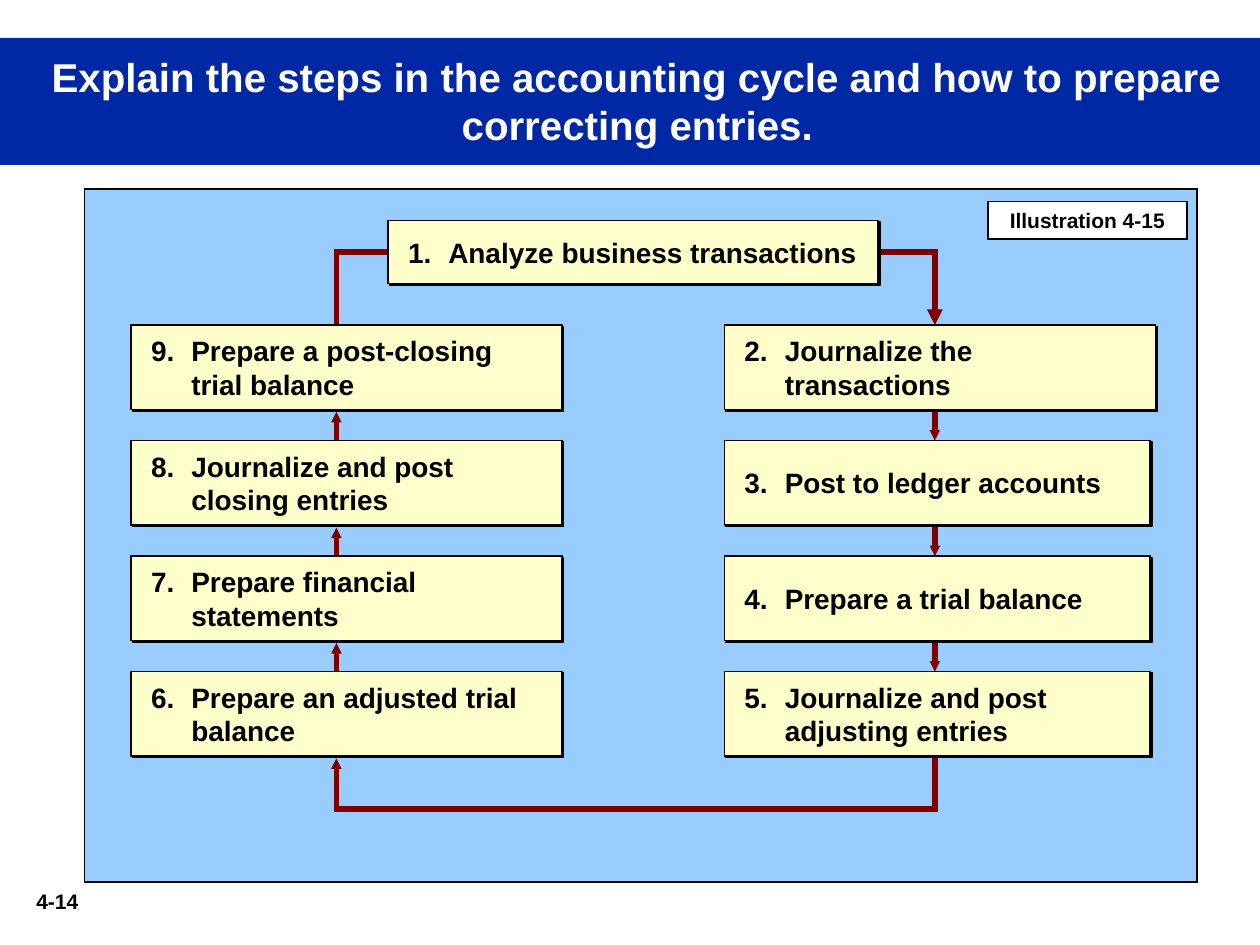
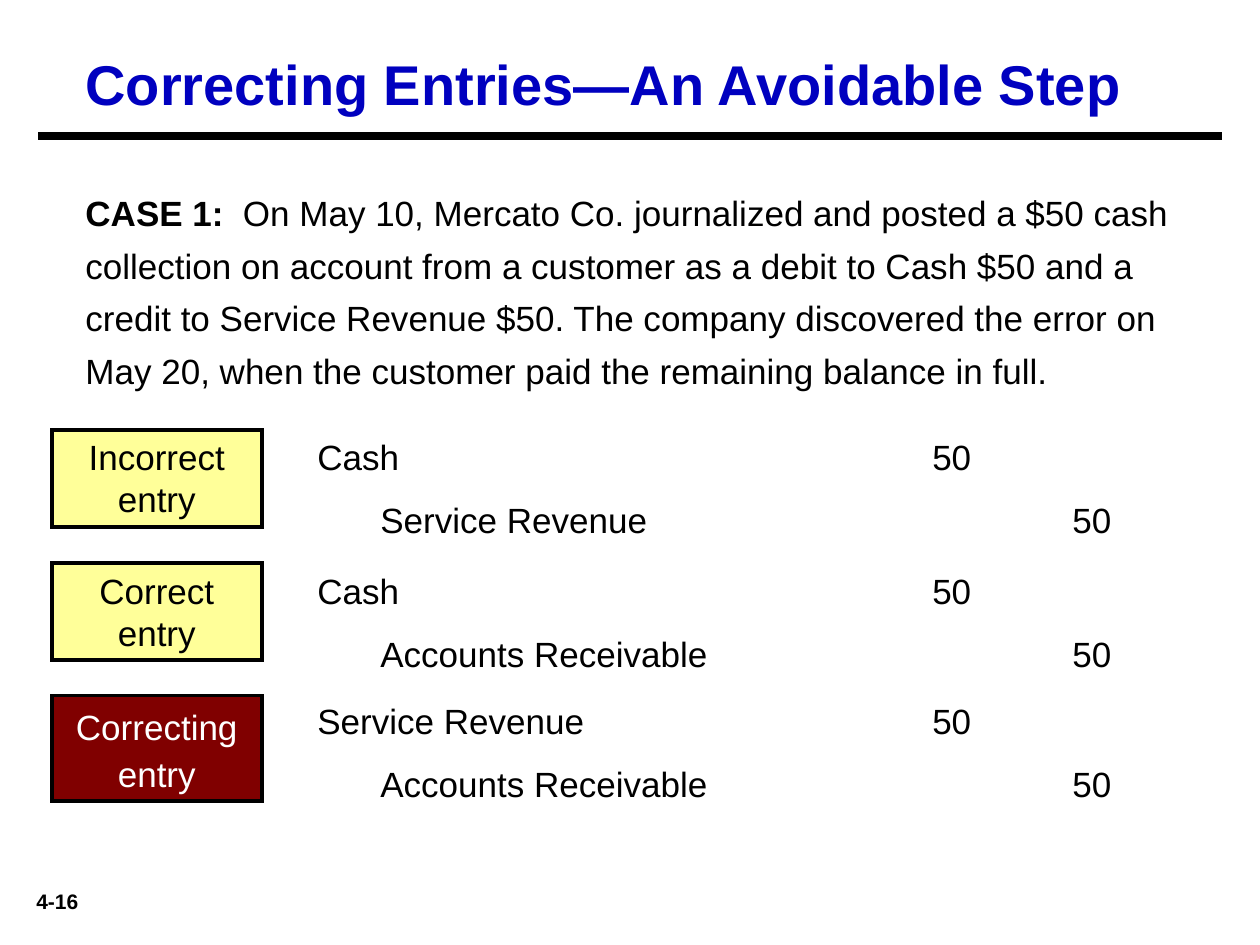
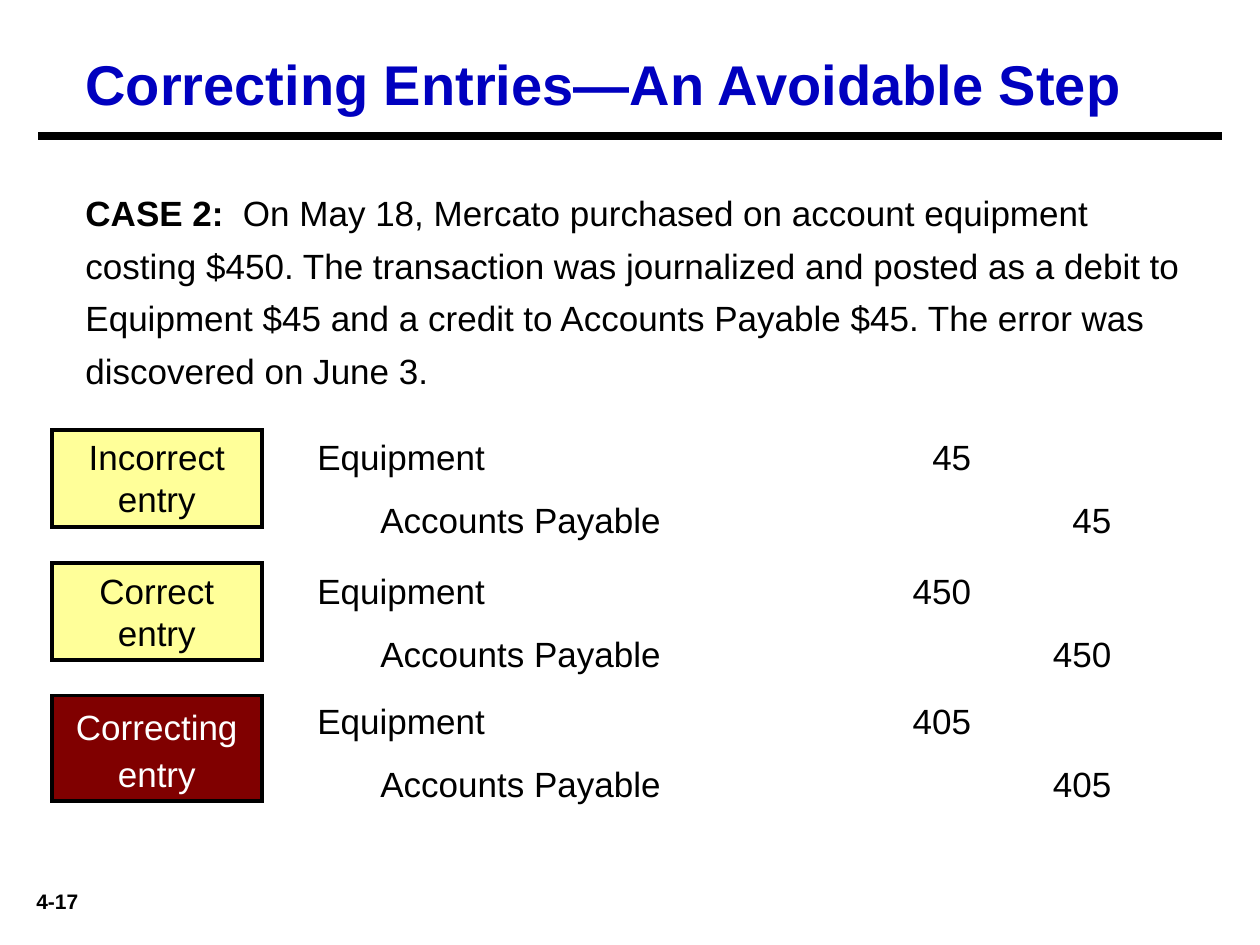
from dataclasses import dataclass

from pptx import Presentation
from pptx.dml.color import RGBColor
from pptx.dml.line import LineFormat
from pptx.enum.shapes import MSO_CONNECTOR, MSO_SHAPE
from pptx.enum.text import MSO_ANCHOR, PP_ALIGN
from pptx.oxml.ns import qn
from pptx.shapes.autoshape import Shape
from pptx.slide import Slide
from pptx.util import Inches, Pt
from lxml.etree import SubElement

FONT = "Arial"
BLACK, WHITE = "000000", "FFFFFF"
BAND_BLUE, TITLE_BLUE, PANEL_BLUE = "0027A4", "0000BF", "99CCFF"
STEP_CREAM, LABEL_YELLOW, MAROON = "FFFFCC", "FFFF99", "800000"

LEFT_X, RIGHT_X = 2.67, 7.42
FIRST_ROW, ROW_PITCH, STEP_HEIGHT = 2.58, 11 / 12, 0.67
ENTRY_TABS = (5.19, 6.68)


@dataclass(frozen=True)
class Area:
    """A rectangle in inches."""

    left: float
    top: float
    width: float
    height: float


@dataclass(frozen=True)
class Step:
    """One step of the accounting cycle."""

    number: int
    text: str
    area: Area


@dataclass(frozen=True)
class Link:
    """A straight line of the cycle, with an optional arrowhead size."""

    x1: float
    y1: float
    x2: float
    y2: float
    head: str = ""


@dataclass(frozen=True)
class Label:
    """The caption of a journal entry and the top of its first line."""

    text: str
    area: Area
    entry_top: float
    fill: str = LABEL_YELLOW
    color: str = BLACK
    spacing: float = 1.0


@dataclass(frozen=True)
class Entry:
    """A journal entry with one debit and one credit."""

    debit: str
    credit: str
    amount: str


@dataclass(frozen=True)
class Case:
    """A correction case with its incorrect, correct and correcting entries."""

    page: str
    name: str
    story: str
    entries: tuple[Entry, ...]


LABELS = (
    Label("Incorrect entry", Area(0.41, 3.41, 1.67, 0.77), 3.41),
    Label("Correct entry", Area(0.41, 4.47, 1.67, 0.77), 4.47),
    Label("Correcting entry", Area(0.41, 5.52, 1.67, 0.84), 5.5, MAROON, WHITE, 1.1),
)

CASES = (
    Case(
        "4-16",
        "CASE 1:",
        "On May 10, Mercato Co. journalized and posted a $50 cash collection on "
        "account from a customer as a debit to Cash $50 and a credit to Service "
        "Revenue $50. The company discovered the error on May 20, when the customer "
        "paid the remaining balance in full.",
        (
            Entry("Cash", "Service Revenue", "50"),
            Entry("Cash", "Accounts Receivable", "50"),
            Entry("Service Revenue", "Accounts Receivable", "50"),
        ),
    ),
    Case(
        "4-17",
        "CASE 2:",
        "On May 18, Mercato purchased on account equipment costing $450. The "
        "transaction was journalized and posted as a debit to Equipment $45 and a "
        "credit to Accounts Payable $45. The error was discovered on June 3.",
        tuple(Entry("Equipment", "Accounts Payable", amount) for amount in ("45", "450", "405")),
    ),
)


def rgb(color: str) -> RGBColor:
    """Turn a hex string into a colour."""
    return RGBColor.from_string(color)


def row_top(row: int) -> float:
    """Return the top of a row of steps."""
    return FIRST_ROW + row * ROW_PITCH


def cycle_steps() -> list[Step]:
    """Place the nine steps clockwise around the panel."""
    right = ("Journalize the transactions", "Post to ledger accounts",
             "Prepare a trial balance", "Journalize and post adjusting entries")
    left = ("Prepare a post-closing trial balance", "Journalize and post closing entries",
            "Prepare financial statements", "Prepare an adjusted trial balance")
    steps = [Step(1, "Analyze business transactions", Area(3.08, 1.75, 3.89, 0.5))]
    for row, (right_text, left_text) in enumerate(zip(right, left)):
        width = 3.42 if row == 0 else 3.38
        steps.append(Step(2 + row, right_text, Area(5.75, row_top(row), width, STEP_HEIGHT)))
        steps.append(Step(9 - row, left_text, Area(1.04, row_top(row), 3.42, STEP_HEIGHT)))
    return steps


def cycle_links() -> list[Link]:
    """Return the lines that join the steps."""
    links = [
        Link(LEFT_X, 2.58, LEFT_X, 2),
        Link(LEFT_X, 2, 3.33, 2),
        Link(6.75, 2, RIGHT_X, 2),
        Link(RIGHT_X, 2, RIGHT_X, 2.58, "med"),
        Link(RIGHT_X, 5.83, RIGHT_X, 6.42),
        Link(RIGHT_X, 6.42, LEFT_X, 6.42),
        Link(LEFT_X, 6.42, LEFT_X, 6.02, "sm"),
    ]
    for row in range(3):
        upper, lower = row_top(row) + STEP_HEIGHT, row_top(row + 1)
        links.append(Link(RIGHT_X, upper - 0.1, RIGHT_X, lower, "sm"))
        links.append(Link(LEFT_X, lower + 0.1, LEFT_X, upper + 0.02, "sm"))
    return links


def place(area: Area) -> tuple[int, int, int, int]:
    """Return the area as lengths."""
    return Inches(area.left), Inches(area.top), Inches(area.width), Inches(area.height)


def set_line(line: LineFormat, color: str, width: float, head: str = "") -> None:
    """Style a line with square ends, sharp corners and an optional arrowhead."""
    line.color.rgb = rgb(color)
    line.width = Pt(width)
    outline = line._get_or_add_ln()
    outline.set("cap", "sq")
    SubElement(outline, qn("a:miter"), lim="800000")
    if head:
        SubElement(outline, qn("a:tailEnd"), type="triangle", w=head, len=head)


def add_rect(page: Slide, area: Area, fill: str, line_width: float = 1) -> Shape:
    """Draw a filled rectangle, outlined in black unless the width is zero."""
    rect = page.shapes.add_shape(MSO_SHAPE.RECTANGLE, *place(area))
    rect.shadow.inherit = False
    rect.fill.solid()
    rect.fill.fore_color.rgb = rgb(fill)
    if line_width:
        set_line(rect.line, BLACK, line_width)
    else:
        rect.line.fill.background()
    return rect


def add_hard_shadow(rect: Shape) -> None:
    """Give a shape a sharp black shadow to the lower right."""
    effects = rect._element.spPr.find(qn("a:effectLst"))
    shadow = SubElement(effects, qn("a:outerShdw"), dist=str(Pt(1.4)), dir="2700000",
                        algn="ctr", rotWithShape="0")
    SubElement(shadow, qn("a:srgbClr"), val=BLACK)


def add_line(page: Slide, link: Link, color: str, width: float) -> None:
    """Draw a straight line without a shadow."""
    line = page.shapes.add_connector(
        MSO_CONNECTOR.STRAIGHT,
        Inches(link.x1), Inches(link.y1), Inches(link.x2), Inches(link.y2),
    )
    set_line(line.line, color, width, link.head)
    SubElement(line._element.spPr, qn("a:effectLst"))


def write(
    box: Shape,
    text: str,
    *,
    size: float,
    color: str = BLACK,
    bold: bool = False,
    lead: str = "",
    align: PP_ALIGN = PP_ALIGN.LEFT,
    anchor: MSO_ANCHOR = MSO_ANCHOR.TOP,
    inset: tuple[float, float, float, float] = (0.1, 0.05, 0.1, 0.05),
    spacing: float = 1.0,
    indent: float = 0,
    hang: float = 0,
    tabs: tuple[tuple[float, str], ...] = (),
) -> None:
    """Write one paragraph into a shape, after an optional bold lead."""
    frame = box.text_frame
    frame.word_wrap = True
    frame.vertical_anchor = anchor
    frame.margin_left, frame.margin_top, frame.margin_right, frame.margin_bottom = map(Inches, inset)
    para = frame.paragraphs[0]
    para.alignment = align
    para.line_spacing = spacing
    properties = para._p.get_or_add_pPr()
    if indent:
        properties.set("marL", str(Inches(indent)))
    if hang:
        properties.set("indent", str(Inches(-hang)))
    if tabs:
        stops = SubElement(properties, qn("a:tabLst"))
        for position, side in tabs:
            SubElement(stops, qn("a:tab"), pos=str(Inches(position)), algn=side)
    for content, heavy in ((lead, True), (text, bold)):
        if content:
            span = para.add_run()
            span.text = content
            span.font.name = FONT
            span.font.size = Pt(size)
            span.font.bold = heavy
            span.font.color.rgb = rgb(color)


def add_text(page: Slide, area: Area, text: str, **style) -> None:
    """Add a text box with one paragraph."""
    write(page.shapes.add_textbox(*place(area)), text, **style)


def add_page(deck: Presentation, number: str) -> Slide:
    """Add a blank slide with its page number."""
    page = deck.slides.add_slide(deck.slide_layouts[6])
    add_text(page, Area(0.08, 7, 0.75, 0.3), number, size=12, bold=True, align=PP_ALIGN.CENTER)
    return page


def build_cycle(deck: Presentation) -> None:
    """Build the slide with the accounting cycle."""
    page = add_page(deck, "4-14")
    add_rect(page, Area(0.67, 1.5, 8.83, 5.5), PANEL_BLUE)
    for link in cycle_links():
        add_line(page, link, MAROON, 3)
    for step in cycle_steps():
        box = add_rect(page, step.area, STEP_CREAM)
        add_hard_shadow(box)
        write(box, f"{step.number}.\t{step.text}", size=16, bold=True,
              anchor=MSO_ANCHOR.MIDDLE, indent=0.38, hang=0.32)
    caption = add_rect(page, Area(7.84, 1.6, 1.58, 0.3), WHITE)
    write(caption, "Illustration 4-15", size=12, bold=True, align=PP_ALIGN.CENTER)
    band = add_rect(page, Area(0, 0.3, 10, 1.01), BAND_BLUE, 0)
    write(band, "Explain the steps in the accounting cycle and how to prepare correcting entries.",
          size=23, color=WHITE, bold=True, align=PP_ALIGN.CENTER, anchor=MSO_ANCHOR.MIDDLE,
          inset=(0.09, 0.03, 0.09, 0.05), indent=0.12)


def add_entry(page: Slide, top: float, entry: Entry) -> None:
    """Write the debit line and the indented credit line of an entry."""
    tabs = tuple((position, "r") for position in ENTRY_TABS)
    add_text(page, Area(2.42, top, 7, 0.44), f"{entry.debit}\t{entry.amount}", size=20, tabs=tabs)
    add_text(page, Area(2.42, top + 0.5, 7, 0.44), f"{entry.credit}\t\t{entry.amount}",
             size=20, indent=0.5, tabs=tabs)


def build_case(deck: Presentation, case: Case) -> None:
    """Build the slide of one correction case."""
    page = add_page(deck, case.page)
    add_text(page, Area(0.58, 0.34, 9.08, 0.61), "Correcting Entries—An Avoidable Step",
             size=32, color=TITLE_BLUE, bold=True)
    add_line(page, Link(0.33, 1.08, 9.67, 1.08), BLACK, 4.5)
    add_text(page, Area(0.58, 1.39, 9, 1.77), f"\t{case.story}", lead=case.name,
             size=20, spacing=1.25, tabs=((1.25, "l"),))
    for label, entry in zip(LABELS, case.entries):
        box = add_rect(page, label.area, label.fill, 2.25)
        write(box, label.text, size=20, color=label.color, align=PP_ALIGN.CENTER,
              spacing=label.spacing)
        add_entry(page, label.entry_top, entry)


def main() -> None:
    """Build and save the deck."""
    deck = Presentation()
    deck.slide_width, deck.slide_height = Inches(10), Inches(7.5)
    build_cycle(deck)
    for case in CASES:
        build_case(deck, case)
    deck.save("out.pptx")


if __name__ == "__main__":
    main()
